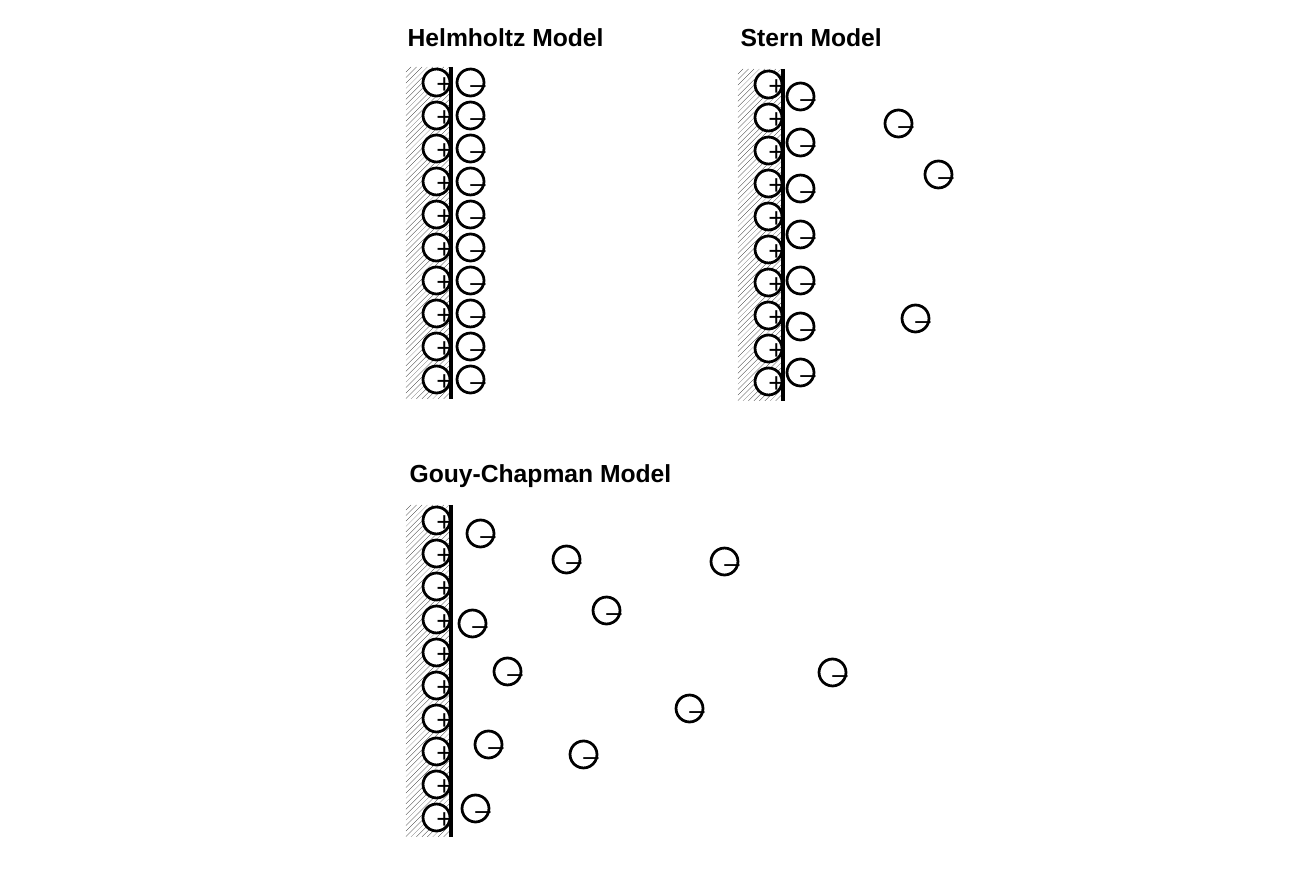
from lxml import etree
from pptx import Presentation
from pptx import util as u
from pptx.dml.color import RGBColor
from pptx.enum import dml, shapes, text
from pptx.oxml.ns import qn

SCALE = 914400 / 98.7
COLORS = {"ink": "000000", "paper": "FFFFFF"}
ION, PITCH = 27, 33
WALL_W, WALL_H = 45, 332


def px(value):
    return u.Emu(round(value * SCALE))


def rgb(name):
    return RGBColor.from_string(COLORS[name])


class Sketch:
    font = "Arial"

    def __init__(self, slide):
        self.slide = slide
        self.group = None

    def start_group(self):
        self.group = self.slide.shapes.add_group_shape()

    def label(self, tf, words, size, bold=False):
        p = tf.paragraphs[0]
        p.text = words
        p.font.name, p.font.size, p.font.bold = self.font, u.Pt(size), bold
        p.font.color.rgb = rgb("ink")
        return p

    def heading(self, words, x, y, w, h=39):
        sp = self.slide.shapes.add_textbox(px(x), px(y), px(w), px(h))
        tf = sp.text_frame
        tf.word_wrap = False
        tf.auto_size = text.MSO_AUTO_SIZE.SHAPE_TO_FIT_TEXT
        self.label(tf, words, 18, bold=True)

    def shape(self, kind, x, y, w, h):
        sp = self.group.shapes.add_shape(kind, px(x), px(y), px(w), px(h))
        sp.shadow.inherit = False
        return sp

    def wall(self, x, y):
        sp = self.shape(shapes.MSO_SHAPE.RECTANGLE, x, y, WALL_W, WALL_H)
        sp.fill.patterned()
        sp.fill.pattern = dml.MSO_PATTERN.WIDE_UPWARD_DIAGONAL
        sp.fill.fore_color.rgb = rgb("ink")
        sp.fill.back_color.rgb = rgb("paper")
        sp.line.fill.background()

    def line(self, x1, y1, x2, y2):
        cx = self.group.shapes.add_connector(
            shapes.MSO_CONNECTOR.STRAIGHT, px(x1), px(y1), px(x2), px(y2))
        cx.line.color.rgb = rgb("ink")
        cx.line.width = u.Pt(2.25)
        etree.SubElement(cx._element.spPr, qn("a:effectLst"))

    def ion(self, sign, x, y):
        sp = self.shape(shapes.MSO_SHAPE.OVAL, x, y, ION, ION)
        sp.fill.solid()
        sp.fill.fore_color.rgb = rgb("paper")
        sp.line.color.rgb = rgb("ink")
        sp.line.width = u.Pt(2)
        tf = sp.text_frame
        tf.word_wrap = True
        tf.vertical_anchor = text.MSO_ANCHOR.MIDDLE
        self.label(tf, sign, 20).alignment = text.PP_ALIGN.CENTER

    def electrode(self, x, y, anions):
        self.start_group()
        self.wall(x, y)
        self.line(x + WALL_W, y, x + WALL_W, y + WALL_H)
        for dx, dy in column(17, 2, PITCH, 10):
            self.ion("+", x + dx, y + dy)
        for dx, dy in anions:
            self.ion("–", x + dx, y + dy)


def column(x, top, pitch, count):
    return [(x, top + i * pitch) for i in range(count)]


prs = Presentation()
prs.slide_width, prs.slide_height = px(1316), px(894)
sketch = Sketch(prs.slides.add_slide(prs.slide_layouts[6]))

diffuse = [(147, 41), (187, 92), (164, 236)]
scattered = [(61, 15), (305, 43), (53, 105), (88, 153),
             (270, 190), (69, 226), (56, 290), (413, 154)]

sketch.heading("Gouy-Chapman Model", 400, 453, 284)
sketch.heading("Stern Model", 731, 17, 163)
sketch.heading("Helmholtz Model", 398, 17, 218)

sketch.electrode(406, 505, diffuse + scattered)
sketch.electrode(738, 69, diffuse + column(49, 14, 46, 7))
sketch.electrode(406, 67, column(51, 2, PITCH, 10))

prs.save("out.pptx")
